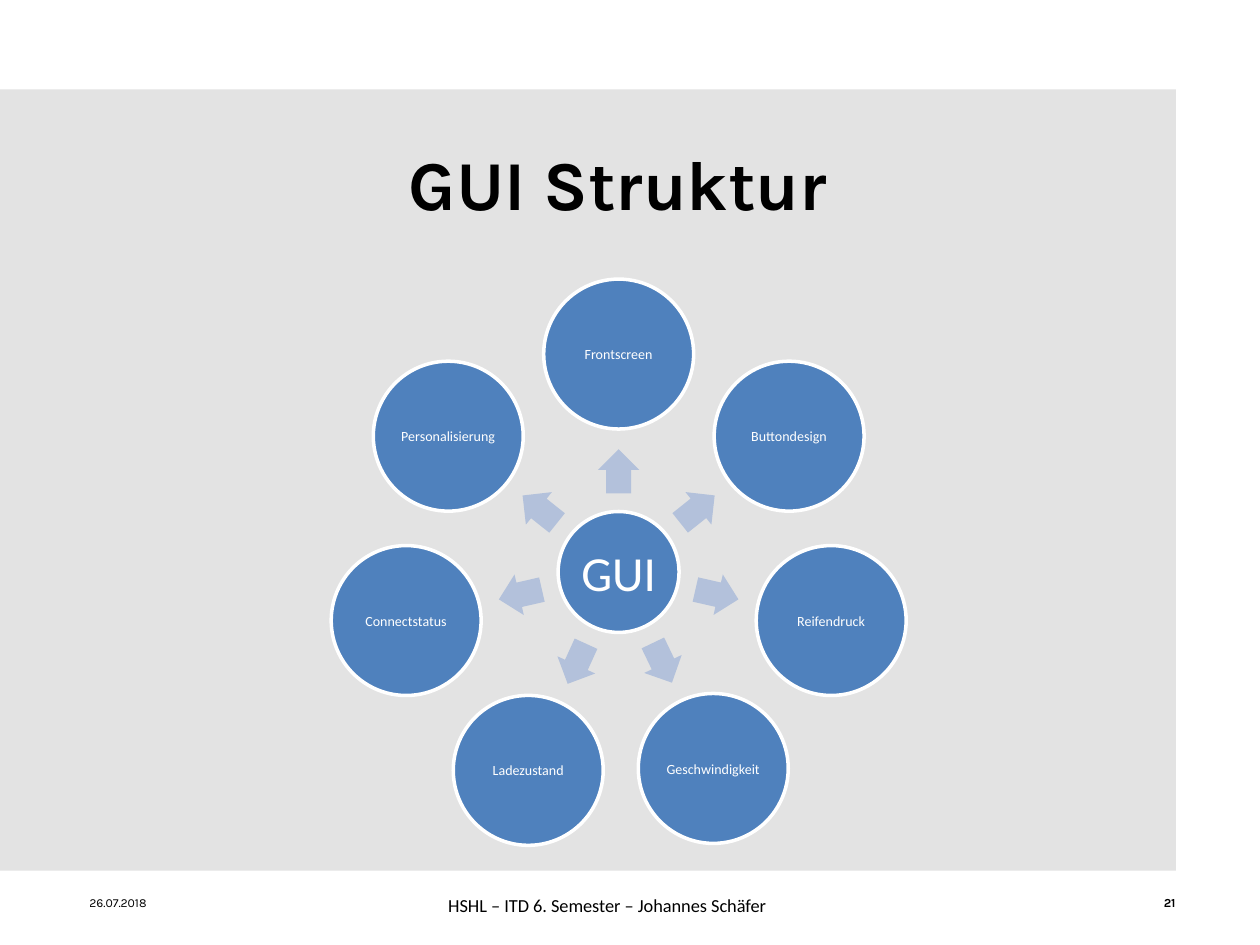
from dataclasses import dataclass
from math import cos, radians, sin

from pptx import Presentation
from pptx.dml.color import RGBColor
from pptx.enum.shapes import MSO_SHAPE
from pptx.enum.text import MSO_ANCHOR, PP_ALIGN
from pptx.util import Inches, Pt

LEFT, CENTER, RIGHT = PP_ALIGN.LEFT, PP_ALIGN.CENTER, PP_ALIGN.RIGHT
MIDDLE = MSO_ANCHOR.MIDDLE
RECTANGLE, OVAL, ARROW = MSO_SHAPE.RECTANGLE, MSO_SHAPE.OVAL, MSO_SHAPE.RIGHT_ARROW

COLORS = {"panel": "E3E3E3", "node": "4F81BD", "arrow": "B3C1DB",
          "light": "FFFFFF", "dark": "000000"}
WIDTH, HEIGHT = 10, 7.5

# Radial diagram, in inches
HUB_X, HUB_Y = 4.91, 4.54
HUB_SIZE, NODE_SIZE = 0.96, 1.19
ARROW_WIDTH, ARROW_HEIGHT = 0.35, 0.33
NODE_RADIUS, ARROW_RADIUS = 1.73, 0.8


@dataclass
class Topic:
    label: str
    nudge: float = 0  # degrees added to the even spacing


TOPICS = [Topic("Frontscreen"), Topic("Buttondesign"), Topic("Reifendruck"),
          Topic("Geschwindigkeit"), Topic("Ladezustand", nudge=-1.2),
          Topic("Connectstatus"), Topic("Personalisierung")]


def color(name: str) -> RGBColor:
    return RGBColor.from_string(COLORS[name])


def write(shape, text: str, *, size: float, font: str = "Calibri", ink: str = "dark",
          bold: bool = False, align=CENTER, inset: float = 0, wrap: bool = True) -> None:
    frame = shape.text_frame
    frame.word_wrap = wrap
    frame.vertical_anchor = MIDDLE
    frame.margin_left = frame.margin_right = Inches(inset)
    frame.margin_top = frame.margin_bottom = Inches(inset)
    paragraph = frame.paragraphs[0]
    paragraph.alignment = align
    run = paragraph.add_run()
    run.text = text
    run.font.size = Pt(size)
    run.font.name = font
    run.font.bold = bold
    run.font.color.rgb = color(ink)


def add_text(slide, left: float, top: float, width: float, height: float,
             text: str, **style) -> None:
    box = slide.shapes.add_textbox(Inches(left), Inches(top), Inches(width), Inches(height))
    write(box, text, **style)


def add_filled(slide, kind, x: float, y: float, width: float, height: float, fill: str):
    """Add a borderless shape centred on x, y."""
    shape = slide.shapes.add_shape(kind, Inches(x - width / 2), Inches(y - height / 2),
                                   Inches(width), Inches(height))
    shape.shadow.inherit = False
    shape.fill.solid()
    shape.fill.fore_color.rgb = color(fill)
    shape.line.fill.background()
    return shape


def add_circle(slide, x: float, y: float, diameter: float, label: str,
               size: float, inset: float) -> None:
    circle = add_filled(slide, OVAL, x, y, diameter, diameter, "node")
    circle.line.color.rgb = color("light")
    circle.line.width = Pt(2)
    write(circle, label, size=size, ink="light", inset=inset, wrap=False)


def on_ring(radius: float, angle: float) -> tuple[float, float]:
    """Point at an angle measured clockwise from the right."""
    return (HUB_X + radius * cos(radians(angle)), HUB_Y + radius * sin(radians(angle)))


def add_topic(slide, topic: Topic, angle: float) -> None:
    arrow = add_filled(slide, ARROW, *on_ring(ARROW_RADIUS, angle),
                       ARROW_WIDTH, ARROW_HEIGHT, "arrow")
    arrow.adjustments[0], arrow.adjustments[1] = 0.6, 0.5
    arrow.rotation = angle % 360
    add_circle(slide, *on_ring(NODE_RADIUS, angle), NODE_SIZE, topic.label,
               size=8, inset=0.01)


def main() -> None:
    deck = Presentation()
    deck.slide_width, deck.slide_height = Inches(WIDTH), Inches(HEIGHT)
    slide = deck.slides.add_slide(deck.slide_layouts[6])

    # Background panel and title
    panel_width, panel_top, panel_height = WIDTH * 14 / 15, 0.71, 6.2
    add_filled(slide, RECTANGLE, panel_width / 2, panel_top + panel_height / 2,
               panel_width, panel_height, "panel")
    add_text(slide, 0.71, 0.82, 8.39, 1.25, "GUI Struktur",
             size=40, font="Karla", bold=True)

    # Hub with its ring of topics, clockwise from the top
    add_circle(slide, HUB_X, HUB_Y, HUB_SIZE, "GUI", size=28, inset=0.04)
    for index, topic in enumerate(TOPICS):
        add_topic(slide, topic, -90 + index * 360 / len(TOPICS) + topic.nudge)

    # Footer
    small = {"size": 7, "font": "Karla"}
    add_text(slide, 0.71, 7.1, 2.33, 0.12, "26.07.2018", align=LEFT, **small)
    add_text(slide, 7, 7.1, 2.33, 0.12, "21", align=RIGHT, bold=True, **small)
    add_text(slide, 3.43, 7.04, 2.78, 0.28, "HSHL – ITD 6. Semester – Johannes Schäfer",
             size=10.5, wrap=False)

    deck.save("out.pptx")


if __name__ == "__main__":
    main()
